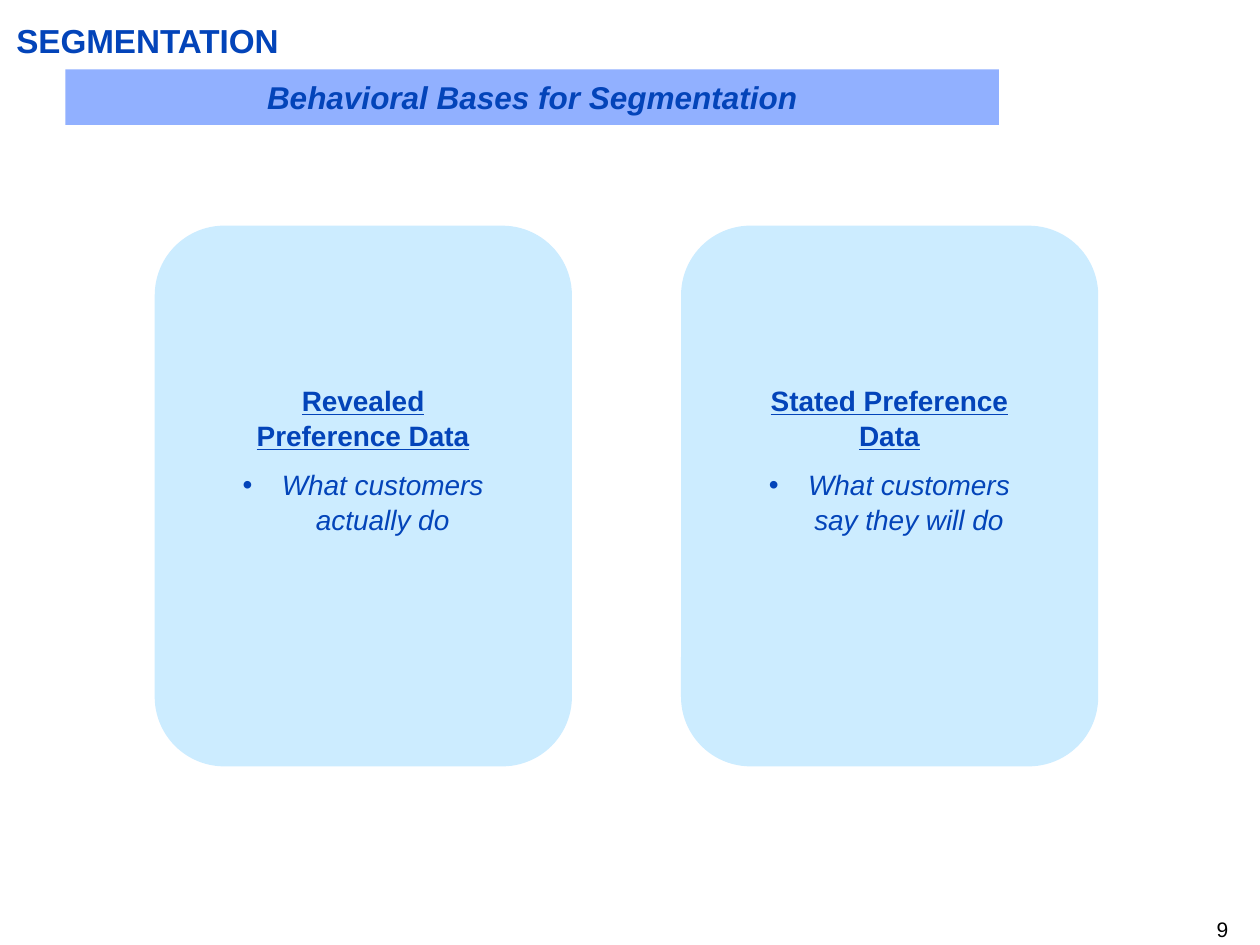
from lxml.etree import SubElement
from pptx import Presentation
from pptx.dml.color import RGBColor
from pptx.enum.shapes import MSO_SHAPE
from pptx.enum.text import MSO_ANCHOR, PP_ALIGN
from pptx.oxml.ns import qn
from pptx.util import Cm, Pt

COLORS = {"text": "0344B9", "banner": "91B0FF", "card": "CCECFF", "number": "000000"}


def style(paragraph, size, align, color="text", bold=False, italic=False, underline=False):
    paragraph.alignment = align
    for run in paragraph.runs:
        font = run.font
        font.name = "Arial"
        font.size = Pt(size)
        font.bold, font.italic, font.underline = bold, italic, underline
        font.color.rgb = RGBColor.from_string(COLORS[color])


def add_panel(kind, left, top, width, height, color):
    panel = slide.shapes.add_shape(kind, Cm(left), Cm(top), Cm(width), Cm(height))
    panel.shadow.inherit = False
    panel.fill.solid()
    panel.fill.fore_color.rgb = RGBColor.from_string(COLORS[color])
    panel.line.fill.background()
    return panel


prs = Presentation()
prs.slide_width, prs.slide_height = Cm(25.4), Cm(19.05)
slide = prs.slides.add_slide(prs.slide_layouts[5])

# Title
title = slide.shapes.title
title.left, title.top, title.width, title.height = Cm(0.33), Cm(0.41), Cm(24.43), Cm(0.81)
frame = title.text_frame
frame.text = "SEGMENTATION"
frame.margin_left = frame.margin_right = frame.margin_top = frame.margin_bottom = 0
frame.vertical_anchor = MSO_ANCHOR.MIDDLE
style(frame.paragraphs[0], 19, PP_ALIGN.LEFT, bold=True)

# Banner
banner = add_panel(MSO_SHAPE.RECTANGLE, 1.32, 1.4, 18.82, 1.12, "banner")
banner.text_frame.text = "Behavioral Bases for Segmentation"
banner.text_frame.vertical_anchor = MSO_ANCHOR.MIDDLE
style(banner.text_frame.paragraphs[0], 18, PP_ALIGN.CENTER, bold=True, italic=True)

# Preference data cards
cards = [
    ("Revealed Preference Data", "What customers actually do"),
    ("Stated Preference Data", "What customers say they will do"),
]
for i, (heading, description) in enumerate(cards):
    left = 3.12 + i * 10.61
    add_panel(MSO_SHAPE.ROUNDED_RECTANGLE, left, 4.55, 8.41, 10.9, "card")

    caption = slide.shapes.add_textbox(Cm(left + 1.28), Cm(7.57), Cm(5.84), Cm(3.3))
    frame = caption.text_frame
    frame.word_wrap = True
    heading_line = frame.paragraphs[0]
    heading_line.text = heading
    style(heading_line, 16, PP_ALIGN.CENTER, bold=True, underline=True)

    bullet_line = frame.add_paragraph()
    bullet_line.text = description
    style(bullet_line, 16, PP_ALIGN.CENTER, italic=True)
    bullet_line.space_before = Pt(8)
    heading_line.line_spacing = bullet_line.line_spacing = 1.05
    properties = bullet_line._p.get_or_add_pPr()
    properties.set("marL", str(Cm(0.79)))
    properties.set("indent", str(-Cm(0.79)))
    SubElement(properties, qn("a:buFont"), typeface="Arial")
    SubElement(properties, qn("a:buChar"), char="•")

# Page number
page_number = slide.shapes.add_textbox(Cm(19.48), Cm(18.47), Cm(5.28), Cm(0.51))
frame = page_number.text_frame
frame.word_wrap = True
frame.margin_left = frame.margin_right = frame.margin_top = frame.margin_bottom = 0
frame.text = "9"
style(frame.paragraphs[0], 12, PP_ALIGN.RIGHT, color="number")

prs.save("out.pptx")
